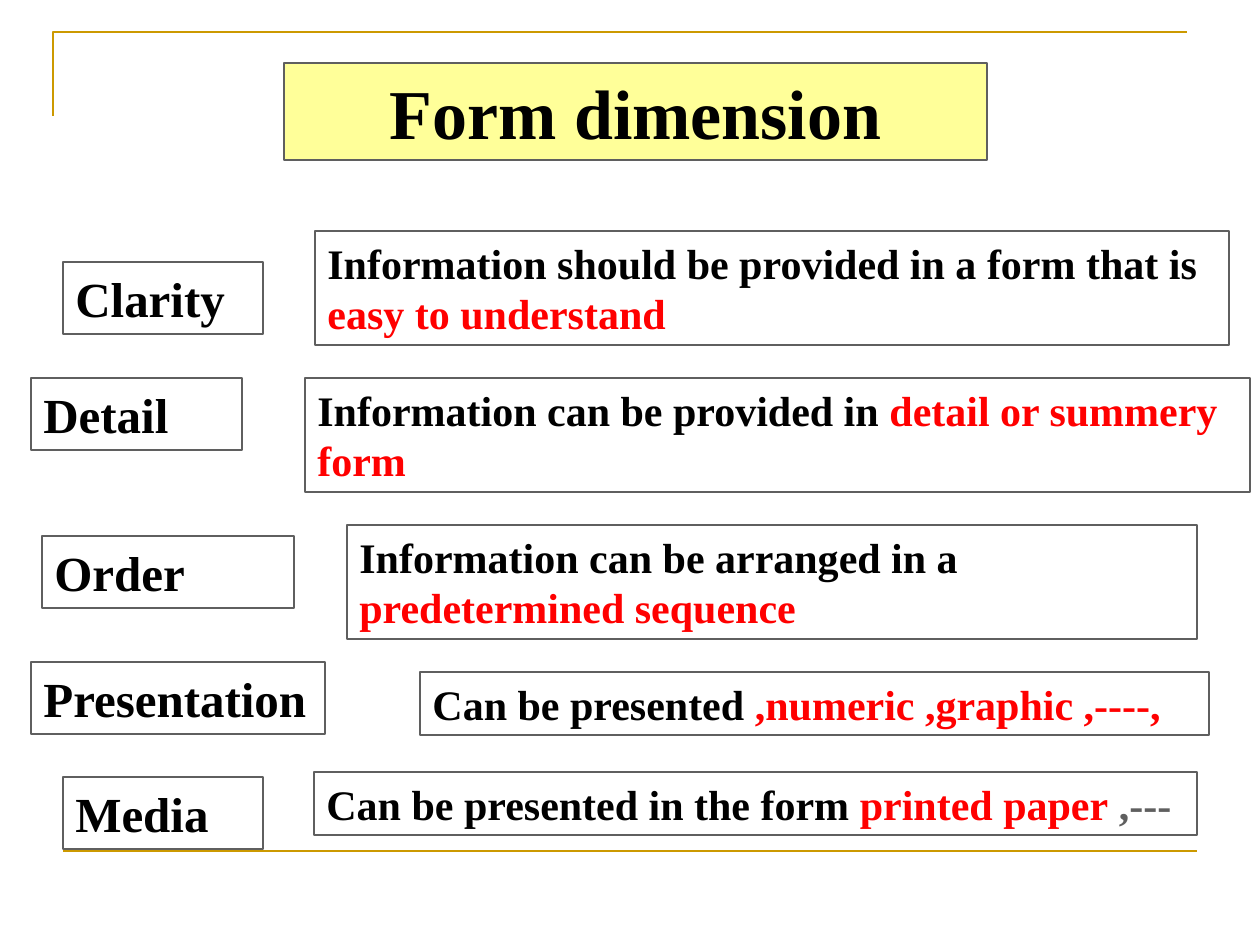
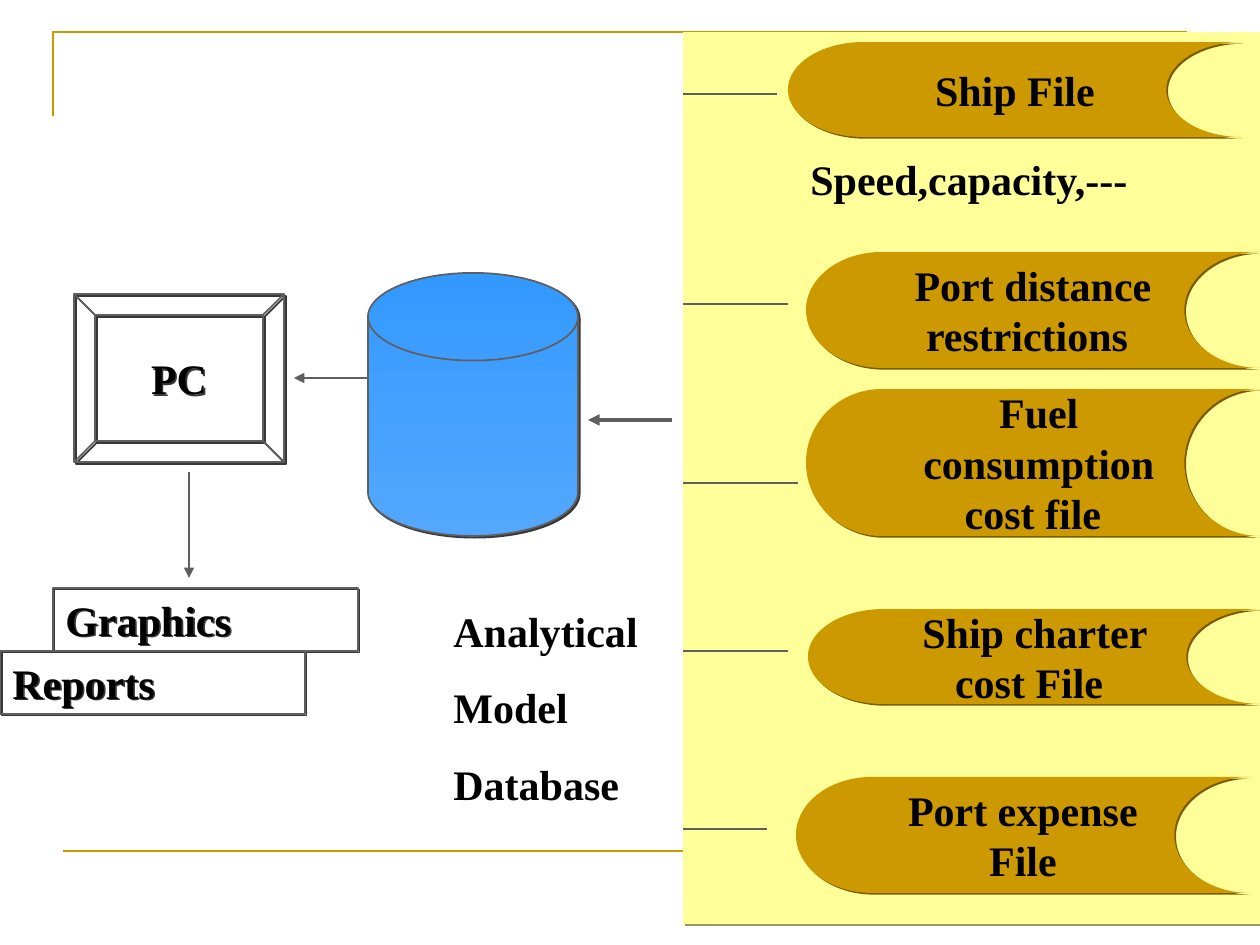
from lxml.etree import SubElement
from pptx import Presentation
from pptx.dml.color import RGBColor
from pptx.enum.shapes import MSO_CONNECTOR, MSO_SHAPE
from pptx.enum.text import MSO_ANCHOR, PP_ALIGN
from pptx.oxml.ns import qn
from pptx.util import Emu, Pt

EMU_PER_PX = 914400 / 126
FONT = "Times New Roman"
BLACK, RED, GREY = "000000", "FF0000", "5F5F5F"
GOLD, YELLOW = "CC9900", "FFFF99"
BLUES = ("3399FF", "53A8FE")
DARK_SHADOW, GOLD_SHADOW, YELLOW_SHADOW = "383838", "795B00", "98985B"


def px(length):
    return Emu(round(length * EMU_PER_PX))


def colour(value):
    return RGBColor.from_string(value)


class Sketch:
    """Holds the deck, its style and the slide being drawn."""

    def __init__(self, width, height):
        self.deck = Presentation()
        self.deck.slide_width, self.deck.slide_height = px(width), px(height)
        self.page = None

    def new_page(self):
        """Add a slide with the gold corner and the bottom rule."""
        self.page = self.deck.slides.add_slide(self.deck.slide_layouts[6])
        builder = self.page.shapes.build_freeform(53, 116, scale=EMU_PER_PX)
        builder.add_line_segments([(53, 32), (1187, 32)], close=False)
        corner = builder.convert_to_shape()
        corner.fill.background()
        self.outline(corner, GOLD, 1.5)
        corner.shadow.inherit = False
        self.line((63, 851), (1197, 851), 1.5, line_colour=GOLD)

    def outline(self, shape, line_colour, width):
        shape.line.color.rgb = colour(line_colour)
        shape.line.width = Pt(width)

    def shape(self, kind, area, fill=None, line_colour=GREY, shadow=None):
        box = self.page.shapes.add_shape(kind, *map(px, area))
        if fill is None:
            box.fill.background()
        elif isinstance(fill, tuple):
            box.fill.gradient()
            box.fill.gradient_angle = 270
            for stop, value in zip(box.fill.gradient_stops, fill):
                stop.color.rgb = colour(value)
        else:
            box.fill.solid()
            box.fill.fore_color.rgb = colour(fill)
        if line_colour:
            self.outline(box, line_colour, 1)
        else:
            box.line.fill.background()
        box.shadow.inherit = False
        if shadow:
            self.cast_shadow(box, shadow)
        return box

    def cast_shadow(self, box, value):
        effects = box.element.spPr.find(qn("a:effectLst"))
        outer = SubElement(effects, qn("a:outerShdw"), dist="17780",
                           dir="2700000", algn="ctr", rotWithShape="0")
        SubElement(outer, qn("a:srgbClr"), val=value)

    def line(self, start, end, width, line_colour=GREY, arrow=False):
        connector = self.page.shapes.add_connector(
            MSO_CONNECTOR.STRAIGHT, *map(px, start + end))
        self.outline(connector, line_colour, width)
        properties = connector.element.spPr
        if arrow:
            SubElement(properties.find(qn("a:ln")), qn("a:tailEnd"), type="triangle")
        SubElement(properties, qn("a:effectLst"))

    def text_box(self, area, lines):
        box = self.page.shapes.add_textbox(*map(px, area))
        self.fill_text(box, lines)

    def fill_text(self, box, lines, size=24, align=PP_ALIGN.LEFT,
                  anchor=MSO_ANCHOR.TOP, wrap=True, gap=15):
        """Set one bold paragraph a line."""
        frame = box.text_frame
        frame.text = "\n".join(lines)
        frame.word_wrap = wrap
        frame.vertical_anchor = anchor
        for number, para in enumerate(frame.paragraphs):
            para.alignment = align
            if number and gap:
                para.space_before = Pt(gap)
            for span in para.runs:
                self.style(span, size)
        return frame

    def style(self, span, size, text_colour=BLACK):
        span.font.name = FONT
        span.font.size = Pt(size)
        span.font.bold = True
        span.font.color.rgb = colour(text_colour)

    def centre_text(self, box, lines):
        """Set unwrapped, centred, right-to-left lines."""
        frame = self.fill_text(box, lines, align=PP_ALIGN.CENTER,
                               anchor=MSO_ANCHOR.MIDDLE, wrap=False, gap=0)
        for para in frame.paragraphs:
            para._p.get_or_add_pPr().set("rtl", "1")

    def label(self, area, text, size=24, shadow=None):
        box = self.shape(MSO_SHAPE.RECTANGLE, area, shadow=shadow)
        self.fill_text(box, [text], size)

    def description(self, area, parts):
        """Set one paragraph of differently coloured spans."""
        box = self.shape(MSO_SHAPE.RECTANGLE, area)
        para = self.fill_text(box, [""]).paragraphs[0]
        for text, text_colour in parts:
            span = para.add_run()
            span.text = text
            self.style(span, 24, text_colour)


def form_dimension(sketch):
    sketch.new_page()
    title = sketch.shape(MSO_SHAPE.RECTANGLE, (284, 63, 703, 97), YELLOW)
    sketch.fill_text(title, ["Form dimension"], 40, PP_ALIGN.CENTER)

    # Each quality: label, its left, top and width, then its description
    qualities = [
        ("Clarity", (63, 262, 200), (315, 231, 914, 114),
         [("Information should be provided in a form that is", BLACK),
          (" easy to understand", RED)]),
        ("Detail", (31, 378, 211), (305, 378, 945, 114),
         [("Information can be provided in ", BLACK),
          ("detail or summery form", RED)]),
        ("Order", (42, 536, 252), (347, 525, 850, 114),
         [("Information can be arranged in a ", BLACK),
          ("predetermined sequence", RED)]),
        ("Presentation", (31, 662, 294), (420, 672, 789, 63),
         [("Can be presented", BLACK), (" ,numeric ,graphic ,----,", RED)]),
        ("Media", (63, 777, 200), (314, 772, 883, 63),
         [("Can be presented in the form ", BLACK),
          ("printed paper", RED), (" ,---", GREY)]),
    ]
    for name, place, area, parts in qualities:
        sketch.label(place + (72,), name, 28)
        sketch.description(area, parts)


def ship_system(sketch):
    sketch.new_page()

    # Panel of files, each with its feed line
    sketch.shape(MSO_SHAPE.FLOWCHART_PROCESS, (683, 32, 577, 892), YELLOW,
                 None, YELLOW_SHADOW)
    # Left, top, height, lines, then feed end, height and width
    files = [
        (788, 42, 95, ["Ship File"], 777, 94, 1.5),
        (806, 252, 116, ["Port distance", " restrictions"], 788, 304, 1.5),
        (806, 389, 147, ["Fuel ", "consumption ", "cost file"], 798, 483, 1),
        (808, 609, 95, ["Ship charter", " cost File"], 788, 651, 1.5),
        (796, 777, 116, ["Port expense", "File"], 767, 829, 1.5),
    ]
    for left, top, height, lines, feed_end, feed_y, feed_width in files:
        store = sketch.shape(MSO_SHAPE.FLOWCHART_STORED_DATA,
                             (left, top, 454, height), GOLD, None, GOLD_SHADOW)
        sketch.centre_text(store, lines)
        sketch.line((683, feed_y), (feed_end, feed_y), feed_width)
    sketch.text_box((798, 147, 410, 63), ["Speed,capacity,---"])

    # Database and computer
    sketch.shape(MSO_SHAPE.FLOWCHART_MAGNETIC_DISK, (368, 273, 210, 263),
                 BLUES, shadow=DARK_SHADOW)
    computer = sketch.shape(MSO_SHAPE.BEVEL, (74, 294, 210, 168),
                            shadow=DARK_SHADOW)
    computer.adjustments[0] = 0.125
    sketch.centre_text(computer, ["PC"])
    sketch.text_box((441, 599, 210, 217), ["Analytical", "Model", "Database"])

    # Flow from files to database, computer and outputs
    for start, end, width in [((672, 420), (588, 420), 2.25),
                              ((368, 378), (294, 378), 1),
                              ((189, 472), (189, 578), 1)]:
        sketch.line(start, end, width, arrow=True)
    for left, top, name in [(53, 588, "Graphics"), (0, 651, "Reports")]:
        sketch.label((left, top, 305, 63), name, shadow=DARK_SHADOW)


def main():
    sketch = Sketch(1260, 945)
    form_dimension(sketch)
    ship_system(sketch)
    sketch.deck.save("out.pptx")


if __name__ == "__main__":
    main()
